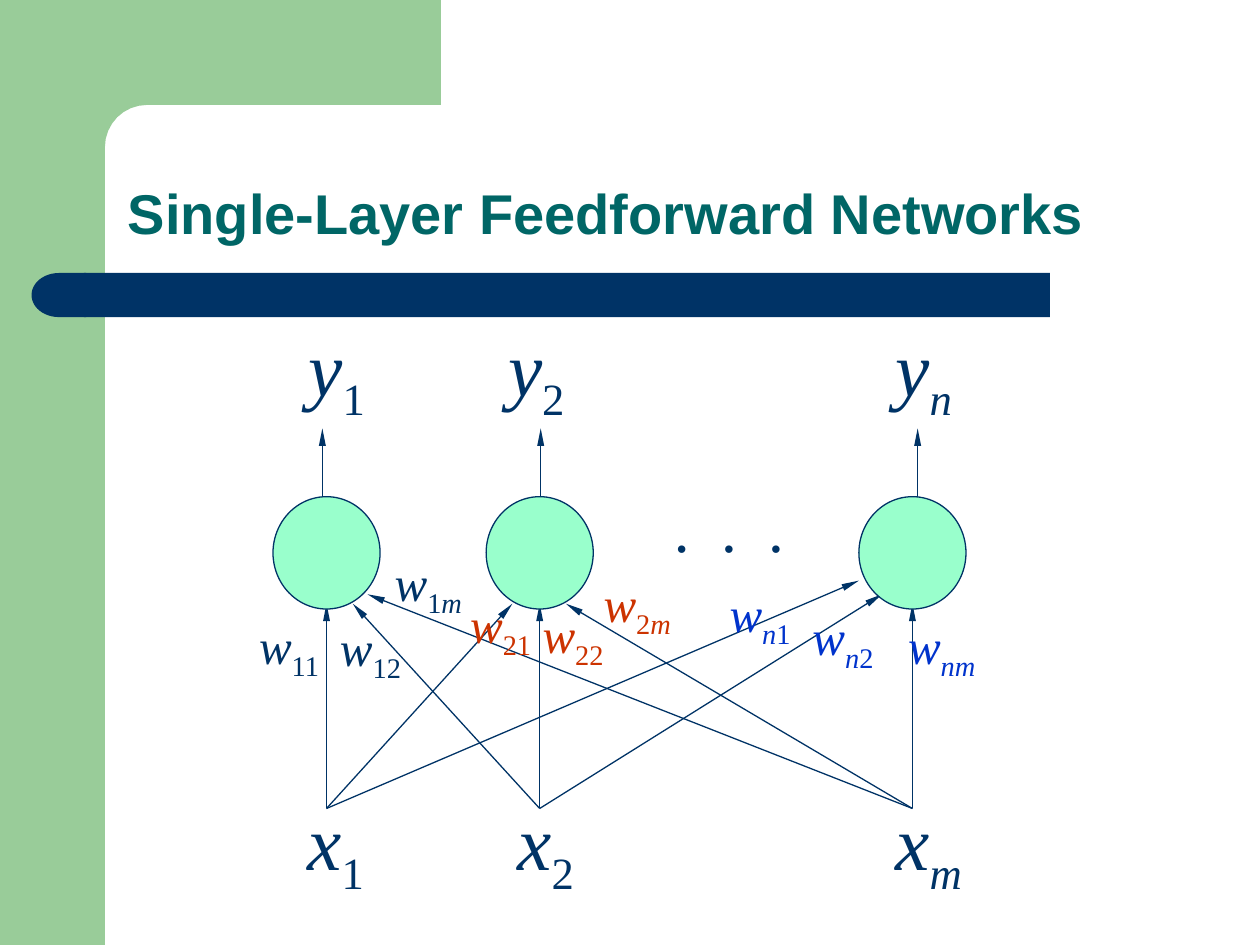
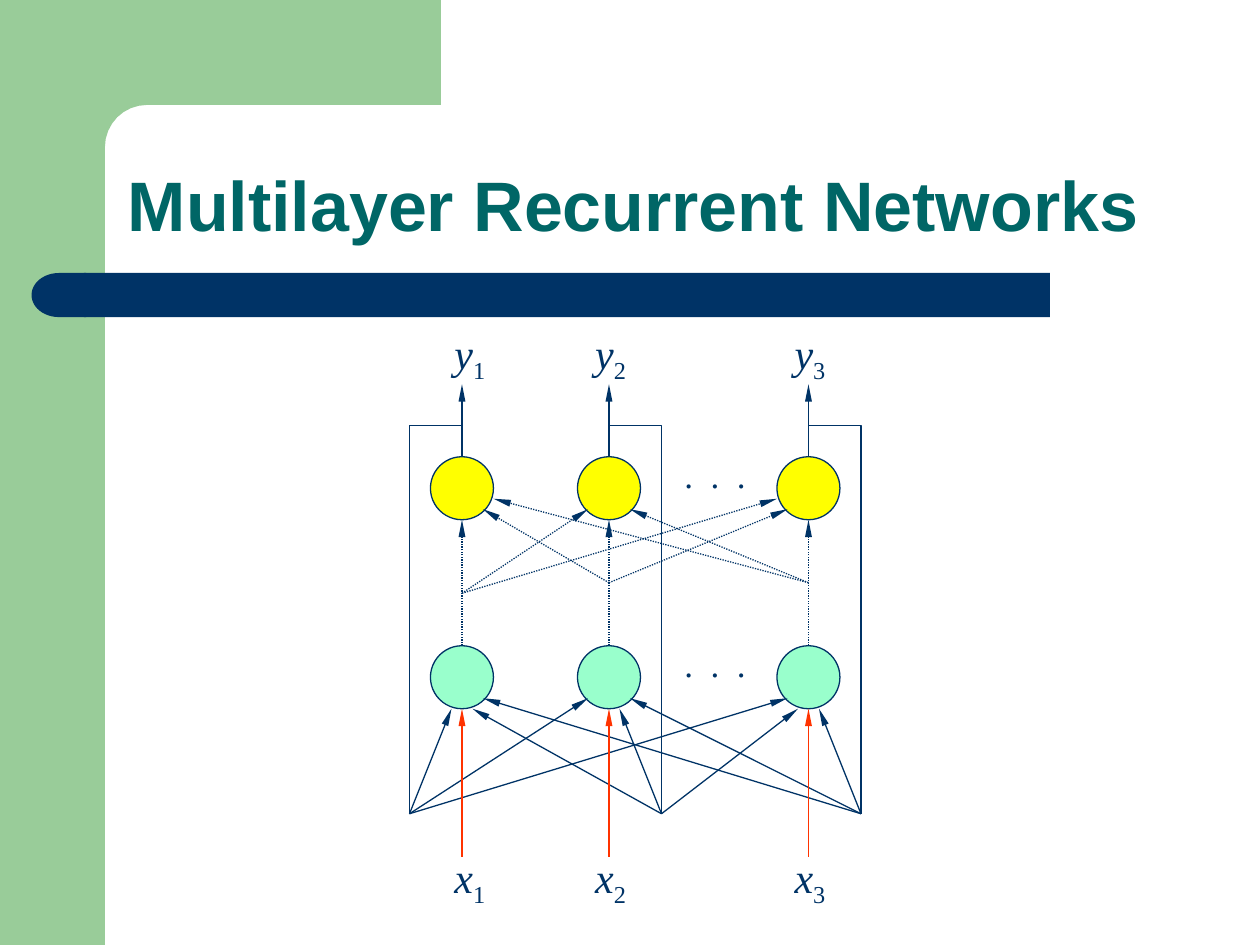
from itertools import groupby
from math import cos, pi, sin

from lxml.etree import SubElement
from pptx import Presentation
from pptx.dml.color import RGBColor
from pptx.enum.dml import MSO_LINE
from pptx.enum.shapes import MSO_CONNECTOR, MSO_SHAPE
from pptx.enum.text import MSO_ANCHOR, MSO_AUTO_SIZE
from pptx.oxml.ns import qn
from pptx.util import Inches, Pt

SLIDE_WIDTH, SLIDE_HEIGHT = Inches(10), Inches(7.5)
COLUMN, ROW = SLIDE_WIDTH / 120, SLIDE_HEIGHT / 90

LEAF = RGBColor(0x99, 0xCC, 0x99)
NAVY = RGBColor(0x00, 0x33, 0x66)
TEAL = RGBColor(0x00, 0x66, 0x66)
MINT = RGBColor(0x99, 0xFF, 0xCC)
YELLOW = RGBColor(0xFF, 0xFF, 0x00)
RUST = RGBColor(0xCC, 0x33, 0x00)
BLUE = RGBColor(0x00, 0x33, 0xCC)
RED = RGBColor(0xFF, 0x33, 0x00)

TITLE_FONT, MATH_FONT = "Arial", "Times New Roman"
LINE_WIDTH = Pt(0.75)


def place(column, row):
    return round(column * COLUMN), round(row * ROW)


def paint(shape, fill=None, outline=None):
    shape.shadow.inherit = False
    if fill is None:
        shape.fill.background()
    else:
        shape.fill.solid()
        shape.fill.fore_color.rgb = fill
    if outline is None:
        shape.line.fill.background()
    else:
        shape.line.color.rgb = outline
        shape.line.width = LINE_WIDTH


def add_block(slide, preset, column, row, columns, rows, fill, outline=None):
    block = slide.shapes.add_shape(preset, *place(column, row), *place(columns, rows))
    paint(block, fill, outline)
    return block


def add_outline(slide, points, close, fill=None, outline=None):
    corners = [place(*point) for point in points]
    builder = slide.shapes.build_freeform(*corners[0])
    builder.add_line_segments(corners[1:], close=close)
    paint(builder.convert_to_shape(), fill, outline)


def add_arrow(slide, source, target, color=NAVY, dash=None):
    arrow = slide.shapes.add_connector(MSO_CONNECTOR.STRAIGHT, *place(*source), *place(*target))
    arrow.line.color.rgb = color
    arrow.line.width = LINE_WIDTH
    if dash is not None:
        arrow.line.dash_style = dash
    SubElement(arrow.line._get_or_add_ln(), qn("a:tailEnd"), type="triangle", w="sm", len="lg")
    SubElement(arrow._element.spPr, qn("a:effectLst"))


def add_fans(slide, fans, dash=None):
    for source, targets in fans.items():
        for target in targets:
            add_arrow(slide, source, target, dash=dash)


def add_text(slide, text, column, row, columns, rows):
    frame = slide.shapes.add_textbox(*place(column, row), *place(columns, rows)).text_frame
    frame.word_wrap = False
    frame.auto_size = MSO_AUTO_SIZE.SHAPE_TO_FIT_TEXT
    frame.text = text
    return frame.paragraphs[0]


def style_run(run, size, color, italic=False, font=MATH_FONT, bold=False):
    run.font.name = font
    run.font.size = Pt(size)
    run.font.color.rgb = color
    run.font.italic = italic
    run.font.bold = bold


def add_symbol(slide, letter, index, column, row, columns, rows, size, color=NAVY):
    symbol = add_text(slide, letter, column, row, columns, rows)
    style_run(symbol.runs[0], size, color, italic=True)
    for is_letter, characters in groupby(index, str.isalpha):
        subscript = symbol.add_run()
        subscript.text = "".join(characters)
        style_run(subscript, size, color, italic=is_letter)
        subscript._r.get_or_add_rPr().set("baseline", "-25000")


def add_ellipsis(slide, column, row, columns, rows, size):
    dots = add_text(slide, ". . .", column, row, columns, rows).runs[0]
    style_run(dots, size, NAVY)
    dots._r.get_or_add_rPr().set("spc", str(round(size * 12.5)))


def add_neurons(slide, centers, middle, width, height, fill):
    for center in centers:
        add_block(slide, MSO_SHAPE.OVAL, center - width / 2, middle - height / 2,
                  width, height, fill, NAVY)


def add_titled_slide(presentation, title, size):
    slide = presentation.slides.add_slide(presentation.slide_layouts[6])
    add_block(slide, MSO_SHAPE.RECTANGLE, 0, 0, 10, 90, LEAF)
    angles = [step * pi / 16 for step in range(9)]
    bend = [(14 - 4 * sin(angle), 14 - 4 * cos(angle)) for angle in angles]
    add_outline(slide, [(42, 0), (42, 10), *bend, (10, 15.4), (6, 15.4), (6, 0)], True, LEAF)
    add_block(slide, MSO_SHAPE.RECTANGLE, 8, 26, 92, 4.2, NAVY)
    add_block(slide, MSO_SHAPE.FLOWCHART_DELAY, 3, 26, 5.2, 4.2, NAVY).rotation = 180

    heading = slide.shapes.add_textbox(*place(11, 11), *place(102, 13.1)).text_frame
    heading.word_wrap = True
    heading.vertical_anchor = MSO_ANCHOR.BOTTOM
    heading.text = title
    heading.paragraphs[0].line_spacing = 0.9
    style_run(heading.paragraphs[0].runs[0], size, TEAL, font=TITLE_FONT, bold=True)
    return slide


def build_single_layer(presentation):
    slide = add_titled_slide(presentation, "Single-Layer Feedforward Networks", 32)
    centers = first, second, last = 31.1, 51.4, 86.9
    input_row, neuron_bottom = 77, 57.5

    for column in (30.7, 51.5, 87.4):
        add_arrow(slide, (column, 48.7), (column, 40.8))
    add_fans(slide, {
        (first, input_row): [(first, neuron_bottom), (48.8, neuron_bottom), (81.8, 55.3)],
        (second, input_row): [(33.6, neuron_bottom), (second, neuron_bottom), (84, 56.6)],
        (last, input_row): [(35, 56.6), (53.9, neuron_bottom), (last, neuron_bottom)],
    })

    for letter, row, labels in (
        ("y", 29.8, (("1", 28.2), ("2", 47.2), ("n", 84.1))),
        ("x", 75, (("1", 28.1), ("2", 48.1), ("m", 84.1))),
    ):
        for index, column in labels:
            add_symbol(slide, letter, index, column, row, 8.8 if index == "m" else 7.8, 11.3, 44)

    weights = {
        NAVY: (("11", 23.5, 58), ("12", 31.2, 58.2), ("1m", 36.4, 52)),
        RUST: (("21", 43.6, 56), ("22", 50.5, 57), ("2m", 56.3, 54)),
        BLUE: (("n1", 68.3, 55), ("n2", 76.2, 57.2), ("nm", 85.3, 58)),
    }
    for color, labels in weights.items():
        for index, column, row in labels:
            width = 8.8 if index.endswith("m") else 8.2
            add_symbol(slide, "w", index, column, row, width, 7.6, 28, color)

    add_neurons(slide, centers, 52.65, 10.2, 10.7, MINT)
    add_ellipsis(slide, 63, 46, 14.2, 8.4, 36)


def build_recurrent(presentation):
    slide = add_titled_slide(presentation, "Multilayer Recurrent Networks", 40)
    centers = first, second, third = 44, 58, 77
    loops = left_loop, middle_loop, right_loop = 39, 63, 82
    loop_top, loop_bottom = 40.5, 77.5

    for column in centers:
        add_arrow(slide, (column, 43.5), (column, 36.6))
    for letter, row in (("x", 80.5), ("y", 30.6)):
        for index, column in zip("123", (42.1, 55.5, 74.5)):
            add_symbol(slide, letter, index, column, row, 5.3, 6.7, 24)

    add_neurons(slide, centers, 64.5, 6, 6, MINT)
    add_fans(slide, {
        (left_loop, loop_bottom): [(43, 67.5), (56, 66.5), (75, 66.5)],
        (right_loop, loop_bottom): [(78, 67.5), (60, 66.5), (46, 66.5)],
        (middle_loop, loop_bottom): [(59, 67.5), (76, 67.5), (45, 67.5)],
    })
    for column in centers:
        add_arrow(slide, (column, 81.6), (column, 67.5), RED)

    add_neurons(slide, centers, 46.5, 6, 6, YELLOW)
    for row in (60.6, 42.6):
        add_ellipsis(slide, 64, row, 9, 5.3, 20)
    for column in centers:
        add_arrow(slide, (column, 61.5), (column, 49.5), dash=MSO_LINE.ROUND_DOT)
    add_fans(slide, {
        (first, 56.5): [(56, 48.5), (74, 47.5)],
        (second, 55.5): [(46, 48.5), (75, 48.5)],
        (third, 55.5): [(47, 47.5), (60, 48.5)],
    }, MSO_LINE.ROUND_DOT)

    for center, loop in zip(centers, loops):
        corners = [(center, loop_top), (loop, loop_top), (loop, loop_bottom)]
        add_outline(slide, corners, False, outline=NAVY)


def main():
    presentation = Presentation()
    presentation.slide_width, presentation.slide_height = SLIDE_WIDTH, SLIDE_HEIGHT
    build_single_layer(presentation)
    build_recurrent(presentation)
    presentation.save("out.pptx")


if __name__ == "__main__":
    main()
